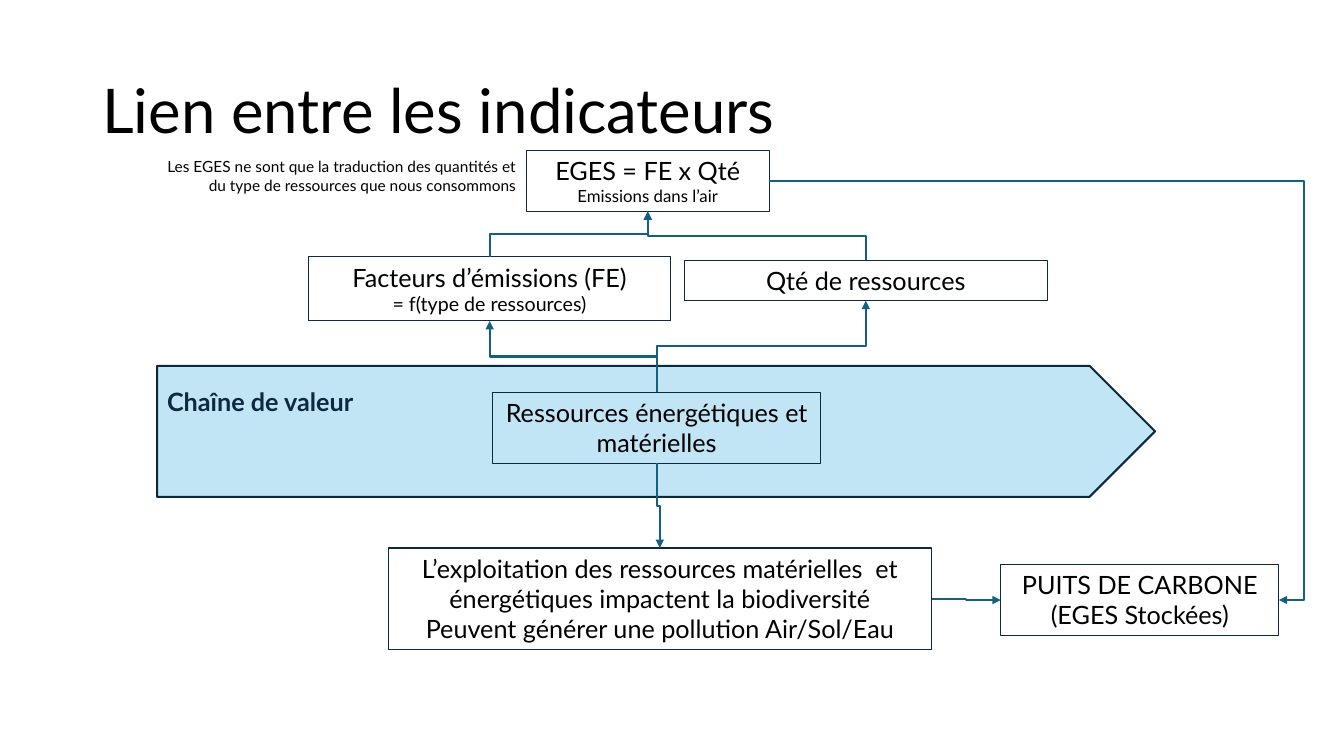
from lxml.etree import SubElement
from pptx import Presentation
from pptx.dml.color import RGBColor
from pptx.enum.shapes import MSO_CONNECTOR, MSO_SHAPE
from pptx.enum.text import MSO_ANCHOR, PP_ALIGN
from pptx.oxml.ns import qn
from pptx.util import Cm, Pt

BLACK = RGBColor(0x00, 0x00, 0x00)
NAVY = RGBColor(0x0E, 0x28, 0x41)
DARK = RGBColor(0x09, 0x2A, 0x39)
TEAL = RGBColor(0x15, 0x60, 0x82)
SKY = RGBColor(0xC1, 0xE5, 0xF5)
TOP, LEFT, BOTTOM, RIGHT = range(4)


def write(shape, *lines, size=18, color=BLACK, bold=False, align=PP_ALIGN.CENTER,
          anchor=MSO_ANCHOR.TOP, inset=0.13, pitch=None, last=None):
    frame = shape.text_frame
    frame.word_wrap = True
    frame.vertical_anchor = anchor
    frame.margin_top = Cm(inset)
    for i, line in enumerate(lines):
        para = frame.add_paragraph() if i else frame.paragraphs[0]
        para.alignment = align
        para.line_spacing = pitch
        run = para.add_run()
        run.text = line
        font = run.font
        font.name = "Lato"
        font.size = Pt(last if i and last else size)
        font.bold = bold
        font.color.rgb = color


class Board:
    def __init__(self, slide):
        self.shapes = slide.shapes

    def text(self, area, *lines, **style):
        label = self.shapes.add_textbox(*map(Cm, area))
        write(label, *lines, **style)

    def shape(self, kind, area, *lines, fill=None, line=NAVY, width=0.75, **style):
        item = self.shapes.add_shape(kind, *map(Cm, area))
        item.shadow.inherit = False
        if fill is None:
            item.fill.background()
        else:
            item.fill.solid()
            item.fill.fore_color.rgb = fill
        item.line.color.rgb = line
        item.line.width = Pt(width)
        write(item, *lines, **style)
        return item

    def box(self, area, *lines, **style):
        return self.shape(MSO_SHAPE.RECTANGLE, area, *lines, **style)

    def link(self, start, out, end, into, bend=0.5):
        link = self.shapes.add_connector(MSO_CONNECTOR.ELBOW, 0, 0, 0, 0)
        link.begin_connect(start, out)
        link.end_connect(end, into)
        link.line.color.rgb = TEAL
        link.line.width = Pt(1.5)
        props = link._element.spPr
        if out in (TOP, BOTTOM):
            self.turn(link, props.find(qn("a:xfrm")))
        shape = props.find(qn("a:prstGeom"))
        guide = SubElement(shape.find(qn("a:avLst")), qn("a:gd"))
        guide.set("name", "adj1")
        guide.set("fmla", f"val {round(bend * 100000)}")
        tail = SubElement(props.find(qn("a:ln")), qn("a:tailEnd"))
        tail.set("type", "triangle")
        SubElement(props, qn("a:effectLst"))

    def turn(self, link, frame):
        run = link.end_x - link.begin_x
        rise = link.begin_y - link.end_y
        mid_x = (link.begin_x + link.end_x) // 2
        mid_y = (link.begin_y + link.end_y) // 2
        link.width, link.height = abs(rise), abs(run)
        link.left = mid_x - link.width // 2
        link.top = mid_y - link.height // 2
        angle = 90 if run > 0 and rise > 0 else 270
        frame.set("rot", str(angle * 60000))
        frame.set("flipH", str(int(run > 0)))
        frame.set("flipV", str(int(rise > 0)))


def main():
    deck = Presentation()
    deck.slide_width, deck.slide_height = Cm(33.87), Cm(19.05)
    board = Board(deck.slides.add_slide(deck.slide_layouts[6]))

    board.shape(MSO_SHAPE.PENTAGON, (3.96, 9.22, 25.15, 3.3), "Chaîne de valeur",
                fill=SKY, line=DARK, width=1.5, color=NAVY, bold=True,
                align=PP_ALIGN.LEFT, inset=0.51)
    board.text((2.33, 1.02, 29.21, 3.68), "Lien entre les indicateurs", size=44,
               align=PP_ALIGN.LEFT, anchor=MSO_ANCHOR.MIDDLE, pitch=0.9)
    board.text((3.73, 3.83, 9.53, 1.19),
               "Les EGES ne sont que la traduction des quantités et du type de "
               "ressources que nous consommons", size=11, align=PP_ALIGN.RIGHT)

    needs = board.box((12.42, 9.88, 8.26, 1.8), "Ressources énergétiques et matérielles")
    factor = board.box((7.77, 6.47, 9.14, 1.62), "Facteurs d’émissions (FE)",
                       "= f(type de ressources)", last=14)
    amount = board.box((17.25, 6.56, 9.14, 1.02), "Qté de ressources")
    total = board.box((13.26, 3.79, 6.13, 1.54), "EGES = FE x Qté",
                      "Emissions dans l’air", last=12)
    sink = board.box((25.22, 14.22, 7.01, 1.8), "PUITS DE CARBONE", "(EGES Stockées)")
    impact = board.box((9.78, 13.81, 13.7, 2.57),
                       "L’exploitation des ressources matérielles  et énergétiques "
                       "impactent la biodiversité",
                       "Peuvent générer une pollution Air/Sol/Eau")

    for part in (factor, amount):
        board.link(needs, TOP, part, BOTTOM)
        board.link(part, TOP, total, BOTTOM)
    board.link(needs, BOTTOM, impact, TOP)
    board.link(impact, RIGHT, sink, LEFT)
    board.link(total, RIGHT, sink, RIGHT, bend=1.05)
    deck.save("out.pptx")


if __name__ == "__main__":
    main()
